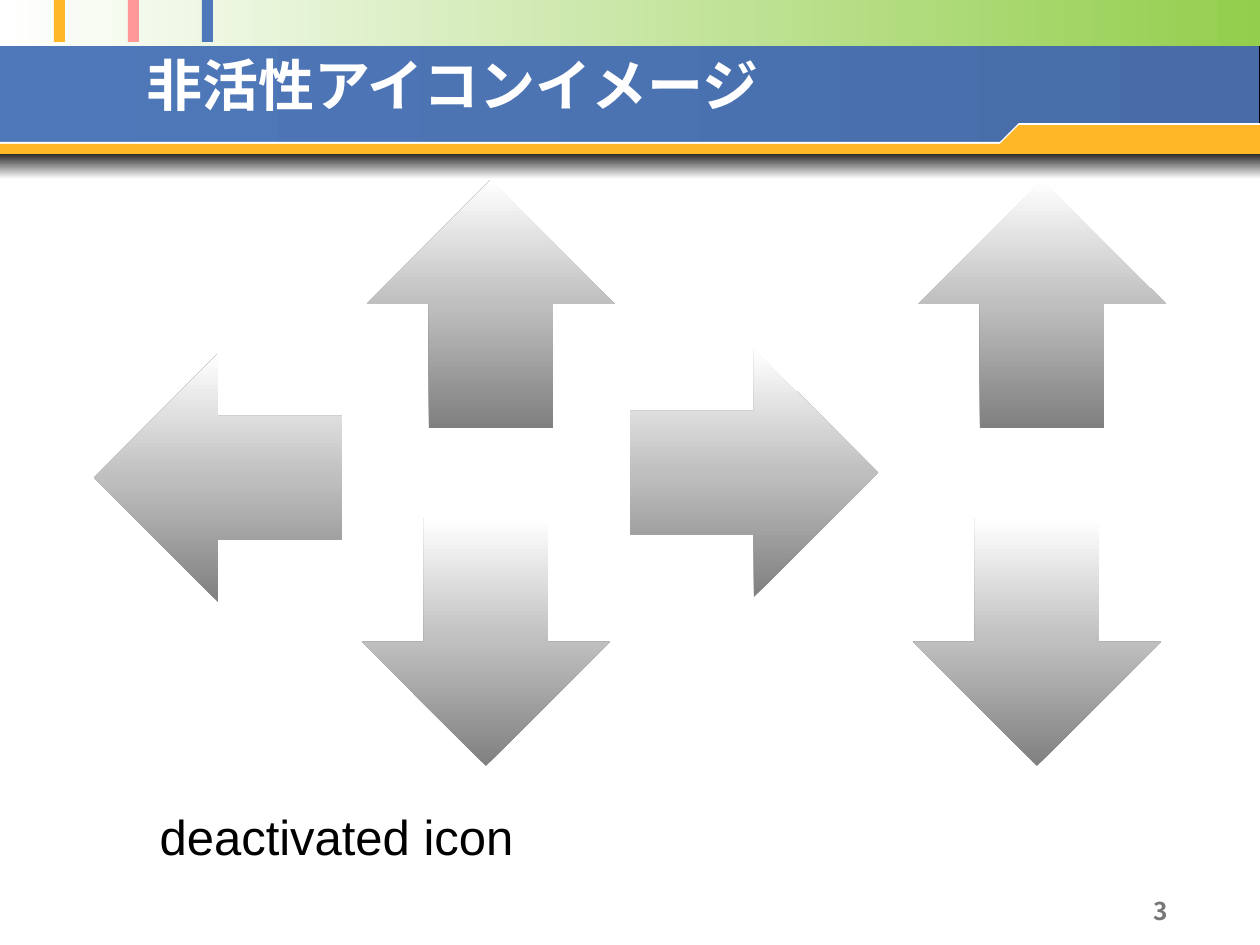
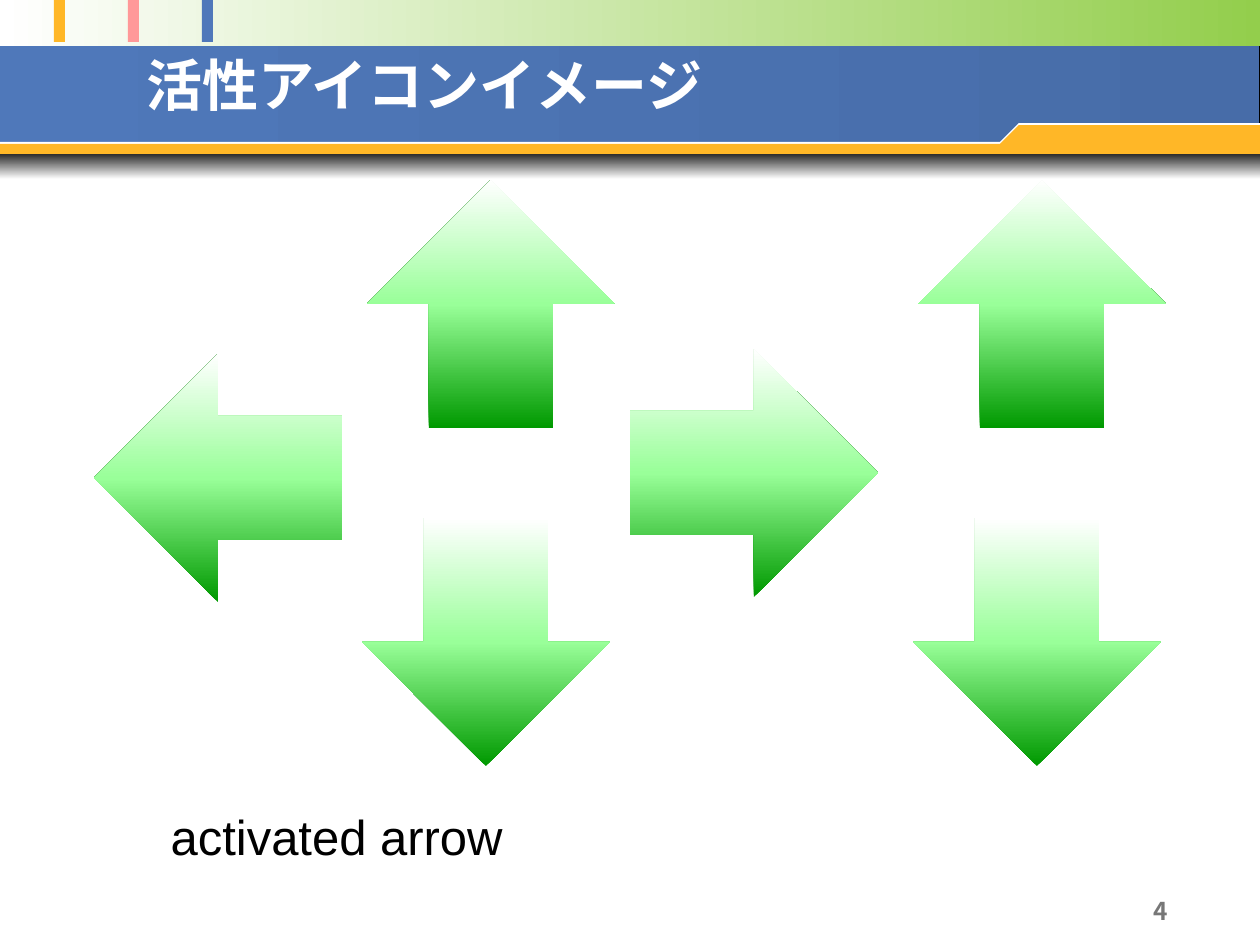
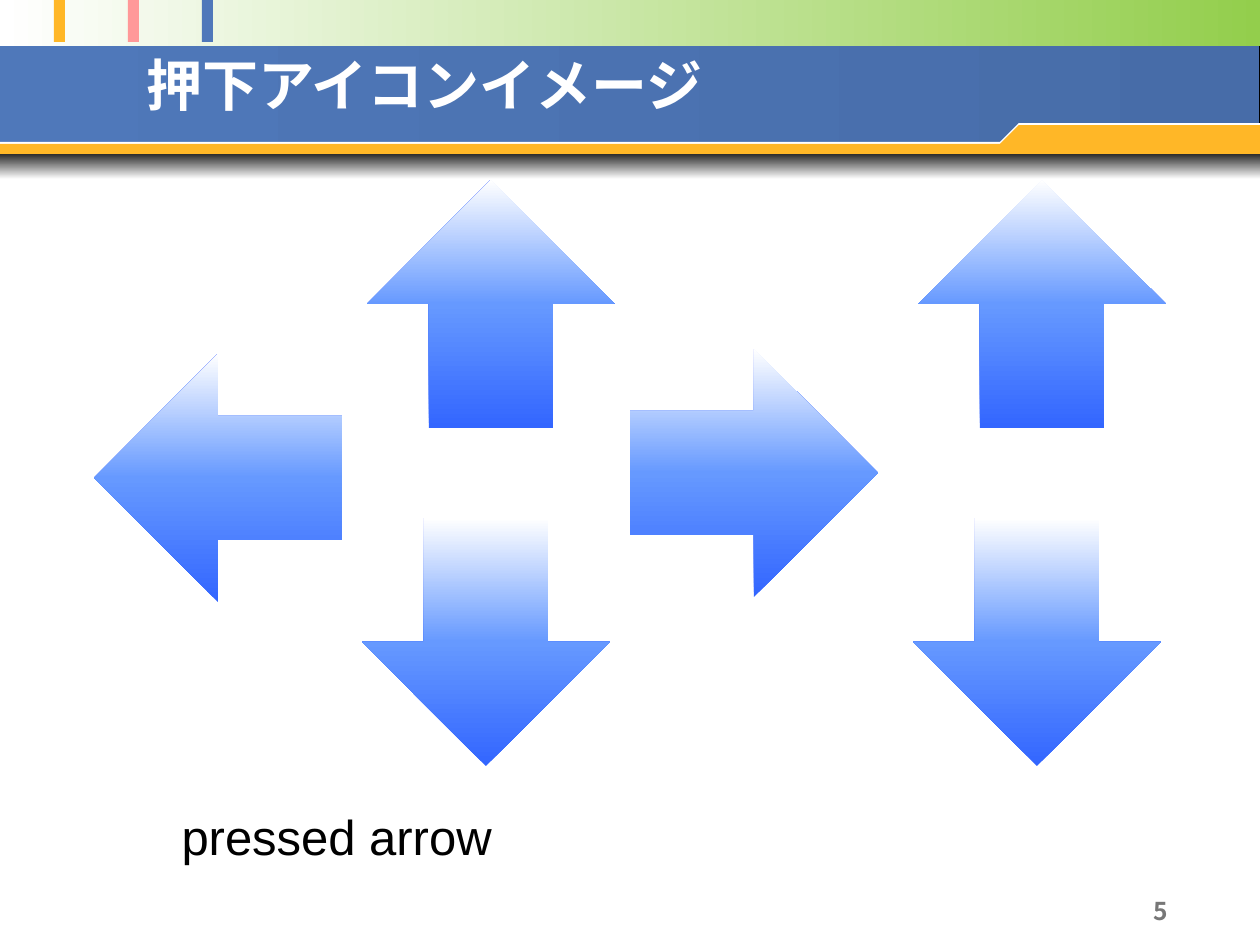
from lxml import etree
from pptx import Presentation
from pptx.dml.color import RGBColor
from pptx.enum.shapes import MSO_SHAPE
from pptx.enum.text import MSO_ANCHOR, PP_ALIGN
from pptx.oxml.ns import qn
from pptx.util import Emu, Pt

RECT = MSO_SHAPE.RECTANGLE
UP, DOWN = MSO_SHAPE.UP_ARROW, MSO_SHAPE.DOWN_ARROW
LEFT, RIGHT = MSO_SHAPE.LEFT_ARROW, MSO_SHAPE.RIGHT_ARROW
MIDDLE, TOP = MSO_ANCHOR.MIDDLE, MSO_ANCHOR.TOP
ALIGN_LEFT, CENTER = PP_ALIGN.LEFT, PP_ALIGN.CENTER

# Content: title, caption, page number, arrow colours from bottom to top
SLIDES = [
    ("非活性アイコンイメージ", "deactivated icon", 3, ("grey", "silver", "white")),
    ("活性アイコンイメージ", "activated arrow", 4, ("green", "mint", "white")),
    ("押下アイコンイメージ", "pressed arrow", 5, ("royal", "sky", "white")),
]

COLORS = {
    "white": "FFFFFF", "black": "000000", "number": "777777",
    "blue": "4F78BA", "deep_blue": "476CA8", "lime": "93CE4C",
    "orange": "FFB727", "pink": "FF9999",
    "grey": "808080", "silver": "BFBFBF",
    "green": "009900", "mint": "99FF99",
    "royal": "3366FF", "sky": "6699FF",
}
HEAD_FONT, BODY_FONT = "Noto Sans CJK JP", "Arial"

# Layout in pixels
PX = 914400 / 126
WIDTH, HEIGHT = 1260, 945
TICKS = ("orange", "pink", "blue")
TICK_LEFT, TICK_STEP = 54, 74
STEP_LEFT, STEP_SIZE = 998, 21      # slope between the low and the high strip
ARROW_SIZE, COLUMN_SHIFT = 248, 551
ARROWS = [(UP, 367, 180), (LEFT, 94, 354), (DOWN, 362, 518), (RIGHT, 630, 349),
          (UP, 367 + COLUMN_SHIFT, 180), (DOWN, 362 + COLUMN_SHIFT, 518)]


def px(*values):
    return [Emu(round(v * PX)) for v in values]


def rgb(name):
    return RGBColor.from_string(COLORS[name])


def paint(sp, colors, angle=0):
    """Fill with one colour, or with evenly spaced gradient stops."""
    sp.shadow.inherit = False
    sp.line.fill.background()
    if isinstance(colors, str):
        sp.fill.solid()
        sp.fill.fore_color.rgb = rgb(colors)
        return
    sp.fill.gradient()
    grad = sp.element.spPr.find(qn("a:gradFill"))
    stops = grad.find(qn("a:gsLst"))
    for old in list(stops):
        stops.remove(old)
    for i, name in enumerate(colors):
        pos = round(100000 * i / (len(colors) - 1))
        gs = etree.SubElement(stops, qn("a:gs"), pos=str(pos))
        etree.SubElement(gs, qn("a:srgbClr"), val=COLORS[name])
    grad.find(qn("a:lin")).set("ang", str(angle * 60000))


def add_box(slide, box, colors, kind=RECT, angle=0):
    sp = slide.shapes.add_shape(kind, *px(*box))
    paint(sp, colors, angle)
    return sp


def add_text(slide, text, box, size, color, font, bold=False,
             align=ALIGN_LEFT, anchor=TOP):
    tf = slide.shapes.add_textbox(*px(*box)).text_frame
    tf.word_wrap = True
    tf.vertical_anchor = anchor
    p = tf.paragraphs[0]
    p.alignment = align
    r = p.add_run()
    r.text = text
    r.font.size, r.font.bold, r.font.name = Pt(size), bold, font
    r.font.color.rgb = rgb(color)
    etree.SubElement(r.font._element, qn("a:ea"), typeface=font)


def add_strip(slide, top, color):
    """A low strip that climbs a slope to a high strip on the right."""
    high = STEP_LEFT + STEP_SIZE
    add_box(slide, (0, top + 19, WIDTH, 10), color)
    add_box(slide, (high, top, WIDTH - high, STEP_SIZE), color)
    foot = top + STEP_SIZE
    builder = slide.shapes.build_freeform(*px(STEP_LEFT, foot), scale=1)
    builder.add_line_segments([px(high, foot), px(high, top)], close=True)
    paint(builder.convert_to_shape(), color)


def add_header(slide):
    band = add_box(slide, (-2, 0, WIDTH + 2, 175), ("blue", "deep_blue"))
    band.line.color.rgb = rgb("black")
    band.line.width = Pt(0.75)
    add_box(slide, (0, 0, WIDTH, 46), ("white", "lime"))
    for i, color in enumerate(TICKS):
        add_box(slide, (TICK_LEFT + i * TICK_STEP, 0, 11, 42), color)
    add_box(slide, (0, 149, WIDTH, 30), ("black", "white"), angle=90)
    add_strip(slide, 123, "white")
    add_strip(slide, 125, "orange")


prs = Presentation()
prs.slide_width, prs.slide_height = px(WIDTH, HEIGHT)
blank = prs.slide_layouts[6]

for title, caption, number, colors in SLIDES:
    slide = prs.slides.add_slide(blank)
    add_header(slide)
    add_text(slide, title, (134, 45, 993, 79), 32, "white", HEAD_FONT,
             bold=True, anchor=MIDDLE)
    # Arrows
    for kind, left, top in ARROWS:
        add_box(slide, (left, top, ARROW_SIZE, ARROW_SIZE), colors, kind, angle=270)
    # Caption and page number
    add_text(slide, caption, (74, 800, 525, 72), 28, "black", BODY_FONT, align=CENTER)
    add_text(slide, str(number), (1096, 890, 129, 37), 14, "number", HEAD_FONT,
             bold=True, align=CENTER)

prs.save("out.pptx")
